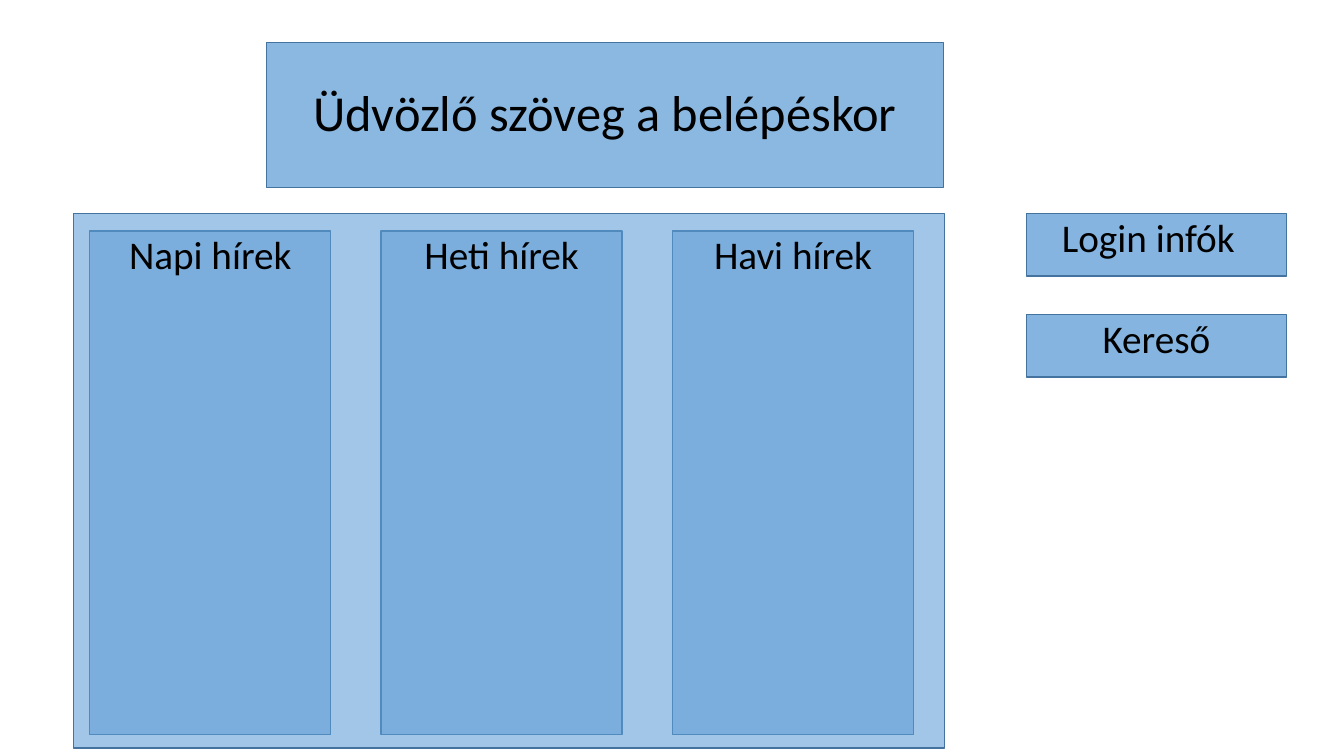
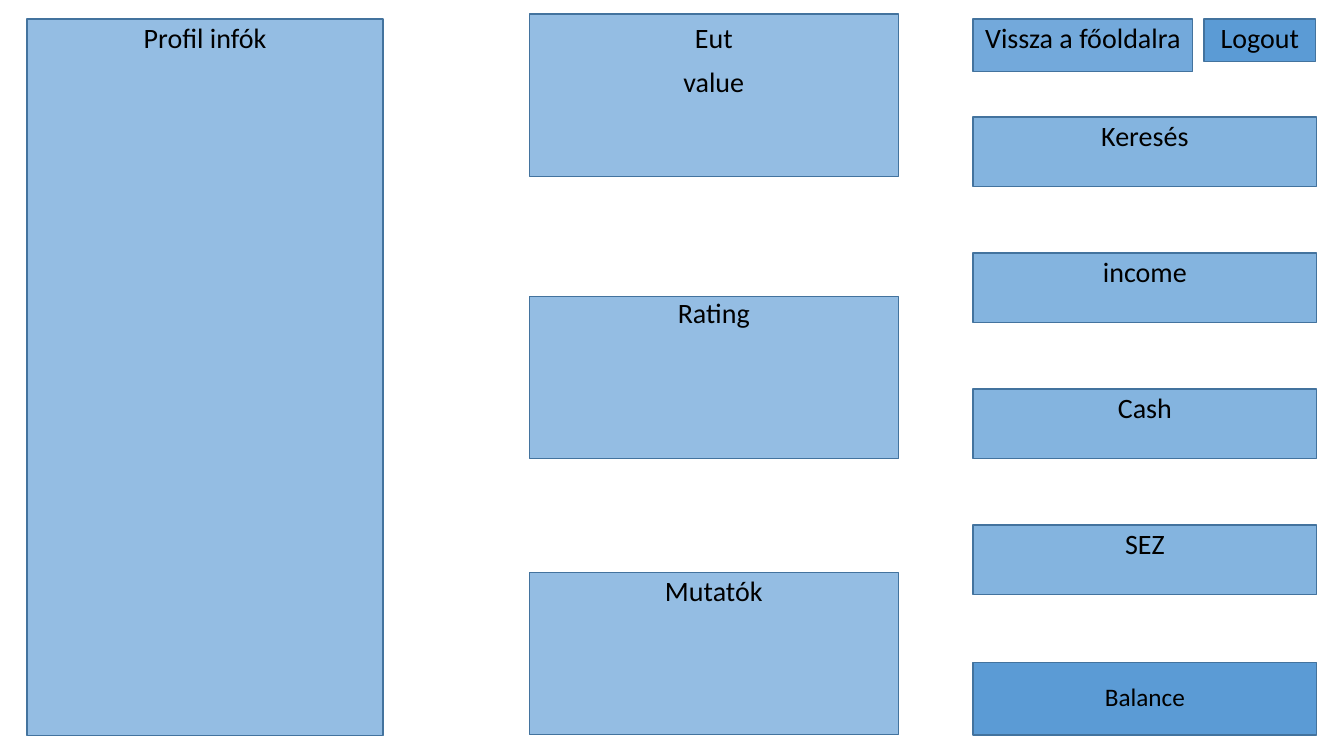
"""Build two wireframe slides: a news front page and a profile page."""
from dataclasses import dataclass

from lxml.etree import SubElement
from pptx import Presentation
from pptx.dml.color import RGBColor
from pptx.enum.shapes import MSO_SHAPE
from pptx.enum.text import MSO_ANCHOR, MSO_AUTO_SIZE, PP_ALIGN
from pptx.oxml.ns import qn
from pptx.util import Inches, Pt


@dataclass(frozen=True)
class Theme:
    font: str = "Calibri"
    fill: RGBColor = RGBColor(0x5B, 0x9B, 0xD5)
    line: RGBColor = RGBColor(0x43, 0x73, 0x9E)
    soft_line: RGBColor = RGBColor(0x51, 0x8A, 0xBD)
    text: RGBColor = RGBColor(0, 0, 0)
    title_size: int = 36
    heading_size: int = 28
    label_size: int = 20
    small_size: int = 18


theme = Theme()


def style_box(box, text, size, opacity, anchor=MSO_ANCHOR.TOP, line=theme.line):
    """Give a box its tint, outline and centred black text."""
    box.fill.solid()
    box.fill.fore_color.rgb = theme.fill
    if opacity < 100:
        colour = box.fill._xPr.find(qn("a:solidFill"))[0]
        SubElement(colour, qn("a:alpha"), val=str(opacity * 1000))
    box.line.color.rgb = line
    box.line.width = Pt(1)
    frame = box.text_frame
    frame.text = text
    frame.word_wrap = True
    frame.auto_size = MSO_AUTO_SIZE.NONE
    frame.vertical_anchor = anchor
    for number, para in enumerate(frame.paragraphs):
        para.alignment = PP_ALIGN.CENTER
        para.line_spacing = 0.9
        para.space_before = Pt(10 if number else 0)
        for span in para.runs:
            span.font.name = theme.font
            span.font.size = Pt(size)
            span.font.color.rgb = theme.text


def add_box(page, column, row, text, size, opacity, **style):
    """Add a box where a column (left, width) meets a row (top, height)."""
    (left, width), (top, height) = column, row
    box = page.shapes.add_shape(
        MSO_SHAPE.RECTANGLE, Inches(left), Inches(top), Inches(width), Inches(height)
    )
    box.shadow.inherit = False
    style_box(box, text, size, opacity, **style)
    return box


deck = Presentation()
deck.slide_width = Inches(13.33)
deck.slide_height = Inches(7.5)
title_only, blank = deck.slide_layouts[5], deck.slide_layouts[6]

front_page = deck.slides.add_slide(title_only)
title = front_page.shapes.title
title.left, title.top = Inches(2.64), Inches(0.42)
title.width, title.height = Inches(6.72), Inches(1.44)
style_box(title, "Üdvözlő szöveg a belépéskor", theme.title_size, 70, MSO_ANCHOR.MIDDLE)

add_box(front_page, (0.73, 8.64), (2.12, 5.3), "", theme.heading_size, 57)
for index, name in enumerate(("Napi hírek", "Heti hírek", "Havi hírek")):
    news_column = (0.89 + index * 2.89, 2.39)
    add_box(front_page, news_column, (2.29, 5), name, theme.heading_size, 54,
            line=theme.soft_line)

side_column = (10.18, 2.58)
login = add_box(front_page, side_column, (2.12, 0.62), "Login infók", theme.heading_size, 75)
login.text_frame.margin_right = Inches(0.26)
add_box(front_page, side_column, (3.12, 0.62), "Kereső", theme.heading_size, 75)

profile_page = deck.slides.add_slide(blank)
add_box(profile_page, (0.27, 3.53), (0.19, 7.11), "Profil infók", theme.label_size, 65)

middle_column = (5.25, 3.66)
for top, inset, name in ((0.14, 0.1, "Eut\nvalue"), (2.94, 0.03, "Rating"), (5.68, 0.05, "Mutatók")):
    card = add_box(profile_page, middle_column, (top, 1.61), name, theme.label_size, 65)
    card.text_frame.margin_top = Inches(inset)

add_box(profile_page, (9.65, 2.18), (0.19, 0.52), "Vissza a főoldalra", theme.label_size, 85)
add_box(profile_page, (11.94, 1.11), (0.19, 0.42), "Logout", theme.label_size, 100)

right_column = (9.65, 3.41)
for index, name in enumerate(("Keresés", "income", "Cash", "SEZ")):
    add_box(profile_page, right_column, (1.16 + index * 1.35, 0.69), name, theme.label_size, 75)
add_box(profile_page, right_column, (6.57, 0.72), "Balance", theme.small_size, 100,
        anchor=MSO_ANCHOR.MIDDLE)

deck.save("out.pptx")
